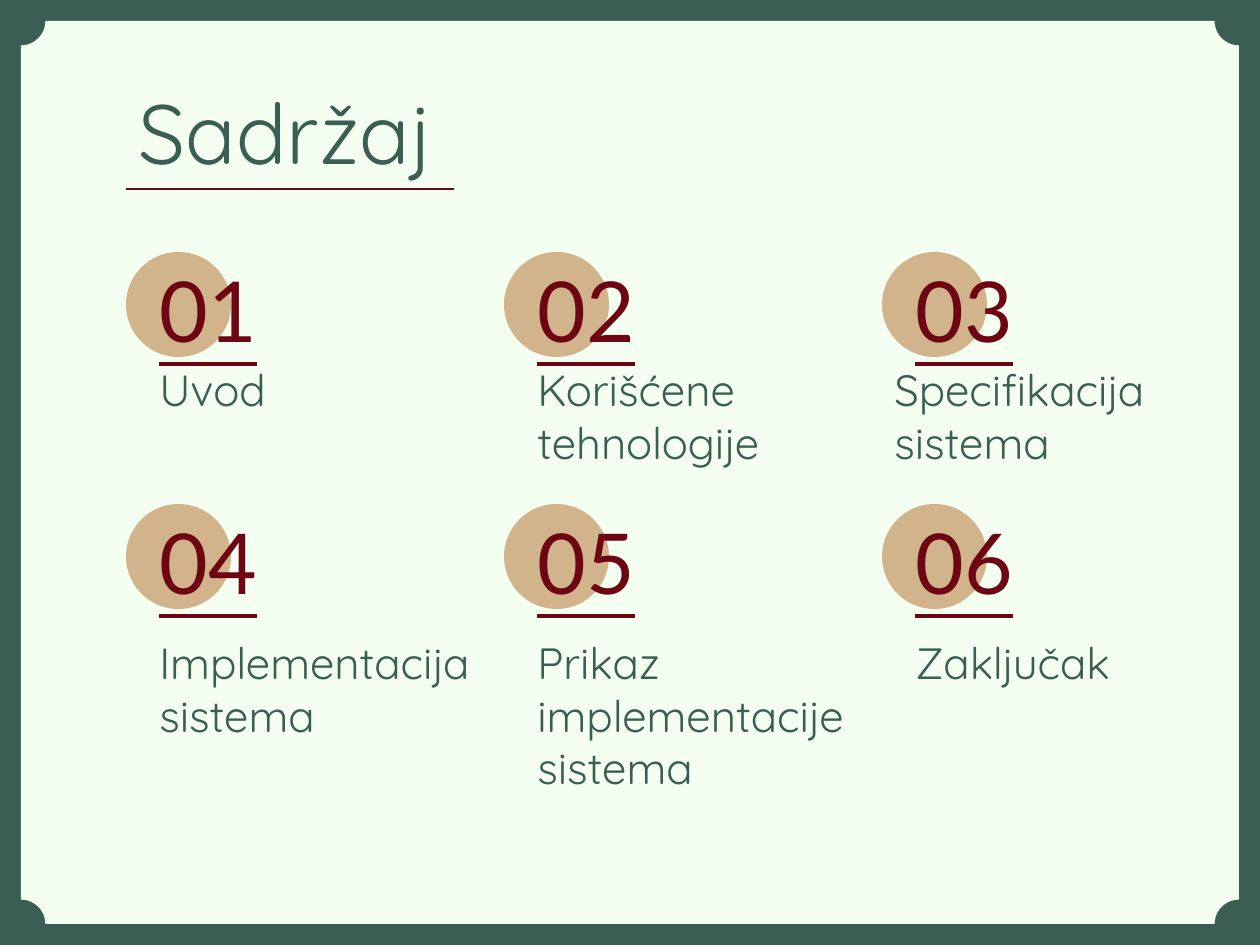
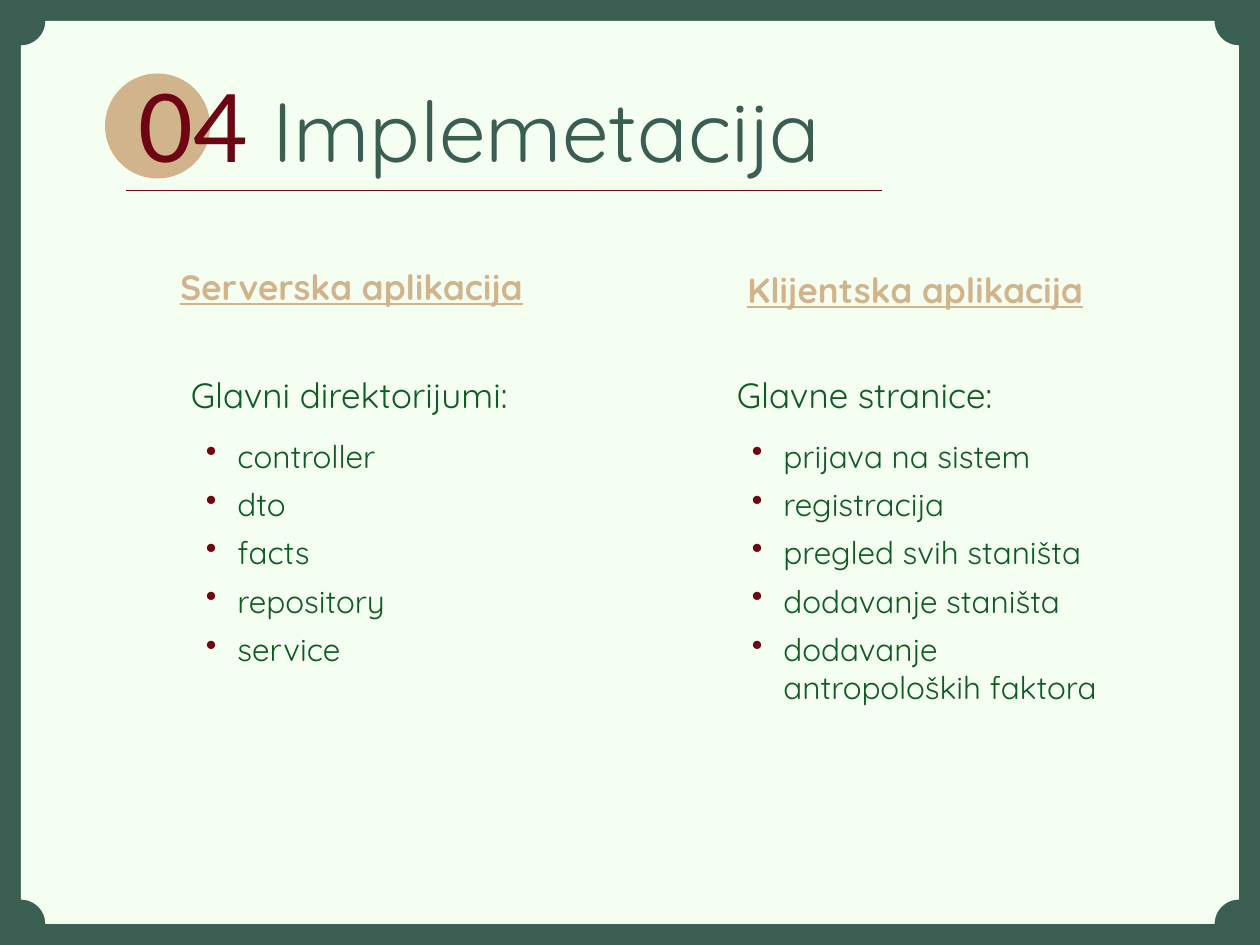
from lxml import etree
from pptx import Presentation
from pptx.dml.color import RGBColor
from pptx.enum.shapes import MSO_CONNECTOR, MSO_SHAPE
from pptx.enum.text import MSO_ANCHOR, MSO_AUTO_SIZE, PP_ALIGN
from pptx.oxml.ns import qn
from pptx.util import Inches, Pt

STRAIGHT = MSO_CONNECTOR.STRAIGHT
PLAQUE, OVAL = MSO_SHAPE.PLAQUE, MSO_SHAPE.OVAL
TOP, LEFT, GROW = MSO_ANCHOR.TOP, PP_ALIGN.LEFT, MSO_AUTO_SIZE.SHAPE_TO_FIT_TEXT

GREEN = RGBColor(0x3A, 0x5E, 0x52)
MINT = RGBColor(0xF4, 0xFF, 0xF2)
WINE = RGBColor(0x6D, 0x06, 0x12)
TAN = RGBColor(0xD2, 0xB4, 0x8C)
LEAF = RGBColor(0x10, 0x5A, 0x23)
HEAD, DIGIT = "Quicksand", "Lato"
COLS, ROWS = 60, 45
TITLE_ONLY = 5

CONTENTS = [
    ("Uvod", 7, 12, 3.1),
    ("Korišćene\ntehnologije", 25, 13.5, 5.6),
    ("Specifikacija\nsistema", 42, 14.5, 5.6),
    ("Implementacija\nsistema", 7, 17.5, 5.6),
    ("Prikaz implementacije sistema", 25, 17.5, 8.2),
    ("Zaključak", 43, 12, 3.1),
]
DIRECTORIES = ["controller", "dto", "facts", "repository", "service"]
PAGES = ["prijava na sistem", "registracija", "pregled svih staništa",
         "dodavanje staništa", "dodavanje antropoloških faktora"]


class Deck:
    """Holds the style, the grid and the current slide."""

    def __init__(self):
        self.prs = Presentation()
        self.prs.slide_width, self.prs.slide_height = Inches(10), Inches(7.5)
        fill = self.prs.slide_master.background.fill
        fill.solid()
        fill.fore_color.rgb = GREEN

    def grid(self, col, row):
        return (round(col * self.prs.slide_width / COLS),
                round(row * self.prs.slide_height / ROWS))

    def box(self, col, row, cols, rows):
        return self.grid(col, row) + self.grid(cols, rows)

    def slide(self):
        self.s = self.prs.slides.add_slide(self.prs.slide_layouts[TITLE_ONLY])
        frame = self.shape(PLAQUE, MINT, 1, 1, 58, 43)
        frame.adjustments[0] = 0.027

    def shape(self, kind, color, *place):
        sp = self.s.shapes.add_shape(kind, *self.box(*place))
        sp.shadow.inherit = False
        sp.fill.solid()
        sp.fill.fore_color.rgb = color
        sp.line.fill.background()
        return sp

    def circle(self, col, row):
        self.shape(OVAL, TAN, col, row, 5, 5)

    def rule(self, col, row, end, width):
        line = self.s.shapes.add_connector(
            STRAIGHT, *self.grid(col, row), *self.grid(end, row))
        line.line.color.rgb = WINE
        line.line.width = Pt(width)
        etree.SubElement(line.element.spPr, qn("a:effectLst"))

    def style(self, r, size, color, font=HEAD, bold=False, underline=False):
        r.font.name, r.font.size = font, Pt(size)
        r.font.bold, r.font.underline = bold, underline
        r.font.color.rgb = color

    def title(self, place, *parts):
        sp = self.s.shapes.title
        sp.left, sp.top, sp.width, sp.height = self.box(*place)
        sp.element.getparent().append(sp.element)
        tf = sp.text_frame
        tf.vertical_anchor, tf.auto_size, tf.word_wrap = TOP, GROW, True
        p = tf.paragraphs[0]
        p.alignment = LEFT
        for text, *look in parts:
            r = p.add_run()
            r.text = text
            self.style(r, *look)

    def text(self, text, place, size, color, **look):
        tf = self.s.shapes.add_textbox(*self.box(*place)).text_frame
        tf.word_wrap, tf.auto_size = True, GROW
        tf.text = text
        for p in tf.paragraphs:
            for r in p.runs:
                self.style(r, size, color, **look)
        return tf

    def indent(self, p, left):
        pPr = p._p.get_or_add_pPr()
        pPr.set("marL", str(Inches(left)))
        pPr.set("indent", str(Inches(-0.25)))
        return pPr

    def bullets(self, heading, items, place):
        tf = self.text("\n".join([heading, *items]), place, 18, LEAF)
        first, *rest = tf.paragraphs
        first.runs[0].font.size = Pt(20)
        first.space_after = Pt(12)
        self.indent(first, 0.25)
        for p in rest:
            p.space_after = Pt(0 if p is rest[-1] else 6)
            pPr = self.indent(p, 0.37)
            color = etree.SubElement(pPr, qn("a:buClr"))
            etree.SubElement(color, qn("a:srgbClr"), val=str(WINE))
            etree.SubElement(pPr, qn("a:buChar"), char="•")


def contents(deck):
    deck.slide()
    deck.title((6, 3.54, 30, 5.46), ("Sadržaj", 48, GREEN))
    deck.rule(6, 9, 21.6, 1)
    for i, (caption, left, cols, rows) in enumerate(CONTENTS):
        band, place = divmod(i, 3)
        col, row = 6 + 18 * place, 12 + 12 * band
        deck.text(caption, (left, row + 5 + band, cols, rows), 25, GREEN)
        deck.circle(col, row)
        deck.text(f"{i + 1:02}", (col + 1, row, 6, 5.46), 48, WINE,
                  font=DIGIT, underline=True)


def implementation(deck):
    deck.slide()
    deck.rule(6, 9.06, 42, 0.75)
    for text, col, row in (("Serverska aplikacija", 8, 12.36),
                           ("Klijentska aplikacija", 35, 12.48)):
        deck.text(text, (col, row, 18, 2.64), 20, TAN,
                  bold=True, underline=True)
    deck.bullets("Glavni direktorijumi:", DIRECTORIES, (8.5, 17.5, 17.5, 14.76))
    deck.bullets("Glavne stranice:", PAGES, (34.5, 17.5, 18.5, 18.36))
    deck.circle(5, 3.5)
    deck.title((6, 2.94, 36, 6.06), ("04 ", 54, WINE, DIGIT),
               ("Implemetacija", 48, GREEN))


def main():
    deck = Deck()
    contents(deck)
    implementation(deck)
    deck.prs.save("out.pptx")


if __name__ == "__main__":
    main()
